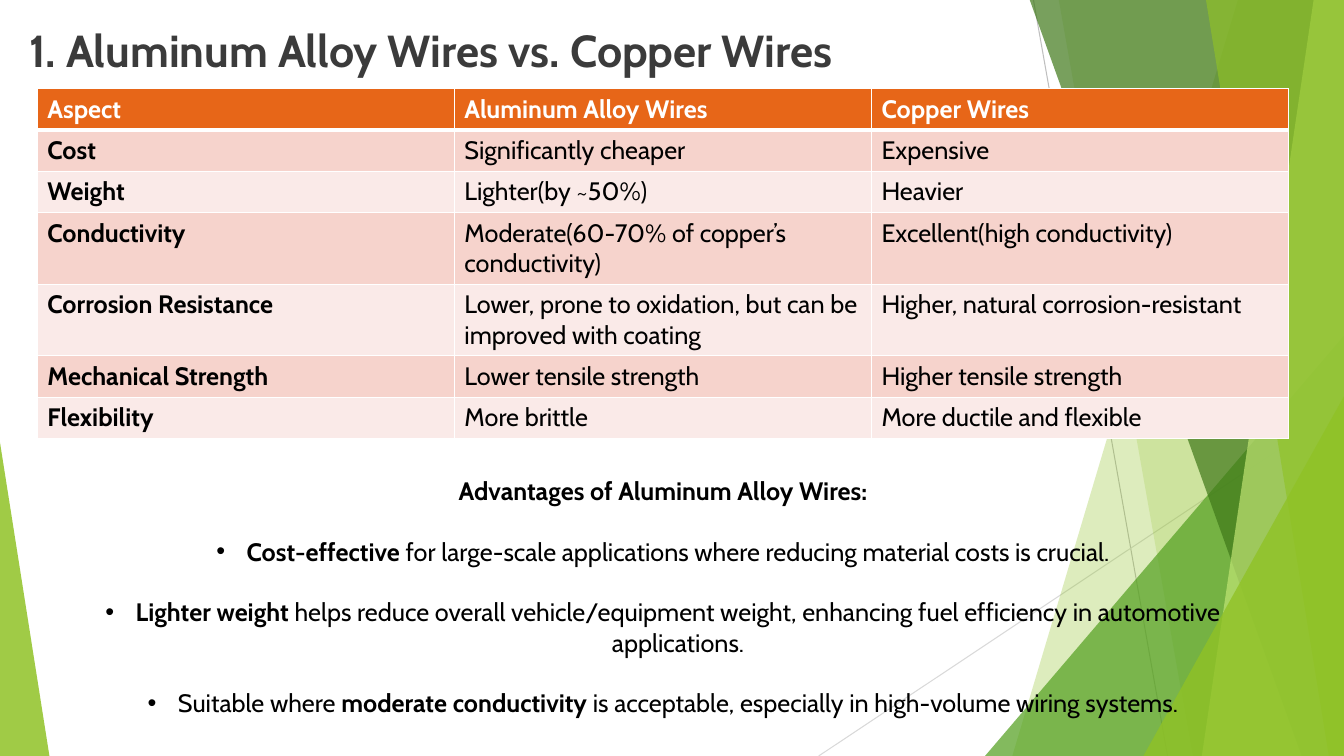
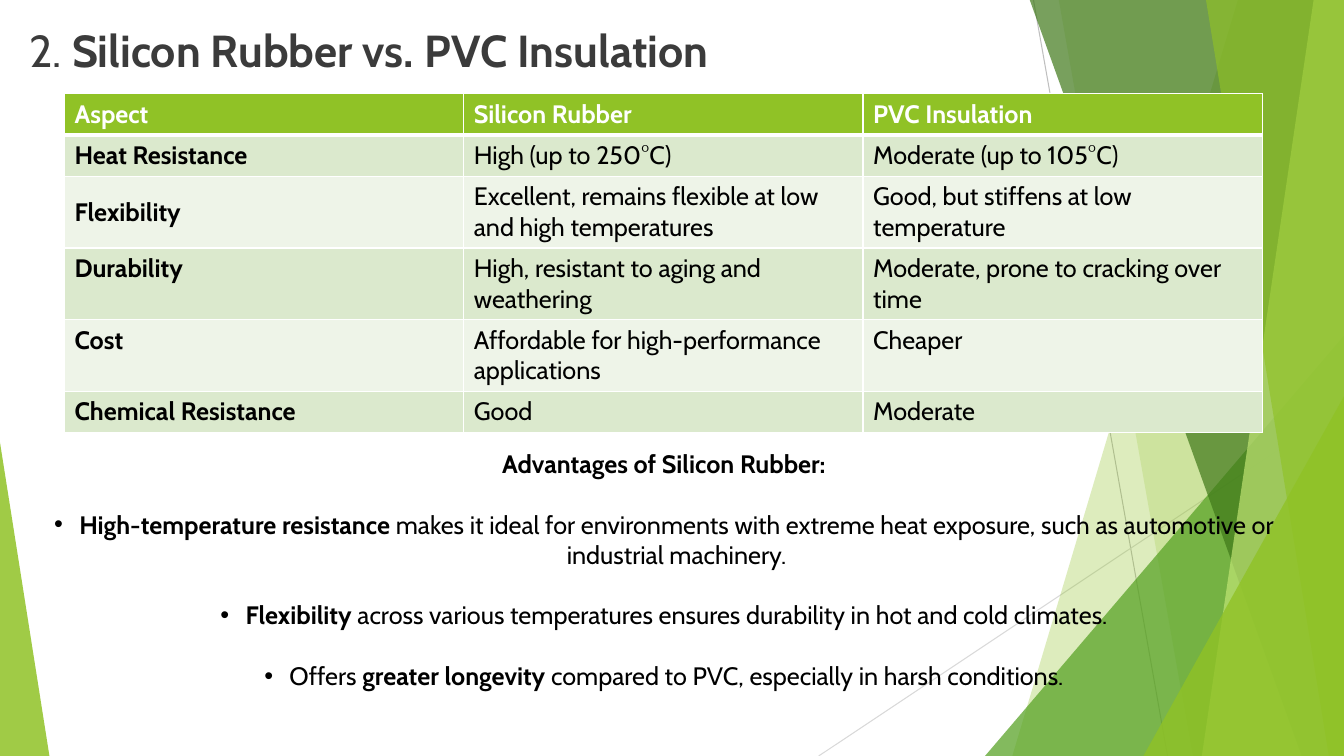
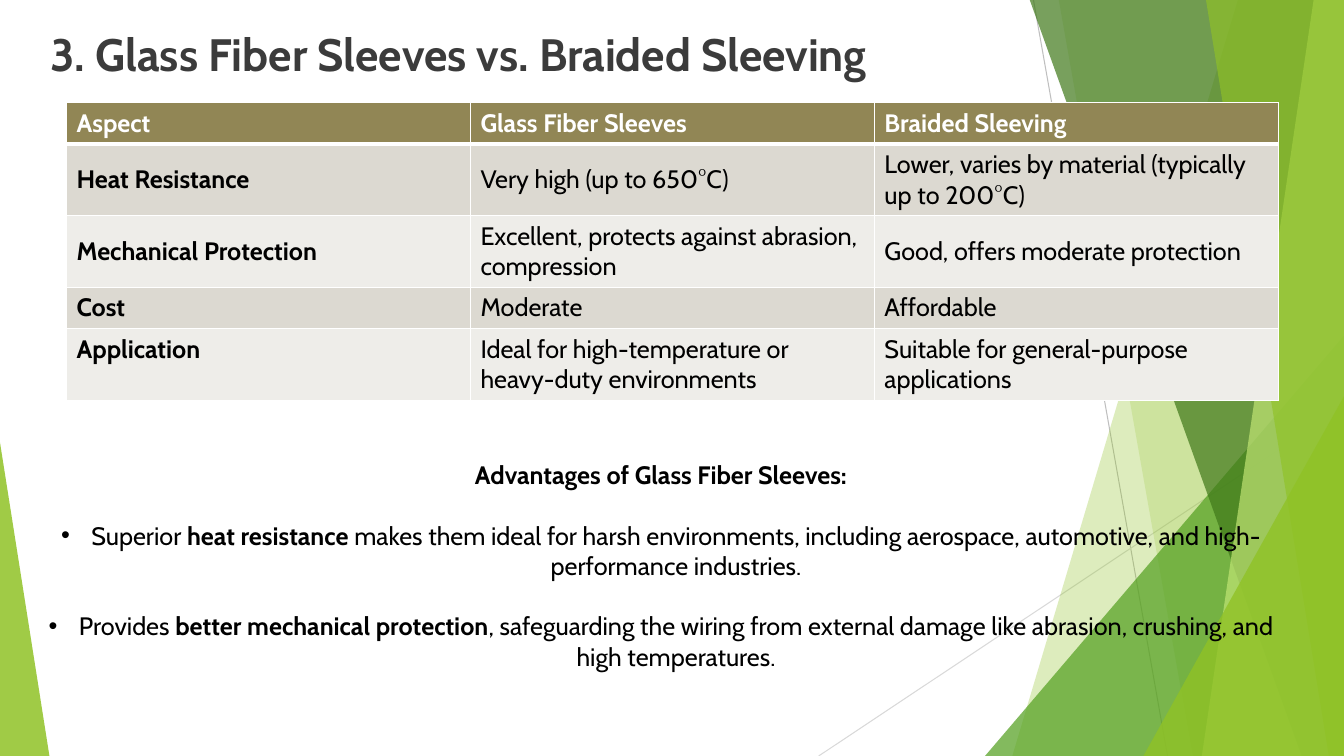
from lxml.etree import SubElement
from pptx import Presentation
from pptx.dml.color import RGBColor
from pptx.enum.shapes import MSO_CONNECTOR, MSO_SHAPE
from pptx.enum.text import MSO_ANCHOR, MSO_AUTO_SIZE, PP_ALIGN
from pptx.oxml.ns import qn
from pptx.util import Inches, Pt

# Shared look
FONT = "Cabin"
BLACK = RGBColor(0x00, 0x00, 0x00)
WHITE = RGBColor(0xFF, 0xFF, 0xFF)
TITLE_GREY = RGBColor(0x3B, 0x3B, 0x3B)
LIME = RGBColor(0x90, 0xC2, 0x26)
LEAF = RGBColor(0x54, 0xA0, 0x21)
FOREST = RGBColor(0x3F, 0x78, 0x19)
PALE_LIME = RGBColor(0xC0, 0xE4, 0x74)
ORANGE = RGBColor(0xE7, 0x66, 0x18)
ROSE = RGBColor(0xF6, 0xD3, 0xCC)
PALE_ROSE = RGBColor(0xFA, 0xEA, 0xE8)
SAGE = RGBColor(0xDB, 0xE9, 0xCD)
PALE_SAGE = RGBColor(0xEE, 0xF4, 0xE8)
OLIVE = RGBColor(0x91, 0x86, 0x55)
SAND = RGBColor(0xDC, 0xD9, 0xD1)
PALE_SAND = RGBColor(0xEE, 0xED, 0xE9)
BODY_SIZE = 18
LINE_HEIGHT = 0.41
TWO_LINE_HEIGHT = 0.71
ONE_LINE_CHARS = 35
PARAGRAPH_GAP = Pt(21.6)

# Background: thin lines, then facets from back to front
RAYS = [
    ((10.25, 0), (11.58, 7.5), RGBColor(0xBF, 0xBF, 0xBF)),
    ((13.33, 4.03), (8.12, 7.5), RGBColor(0xD9, 0xD9, 0xD9)),
]
RIGHT, TOP, BOTTOM = 13.33, -0.01, 7.5
# Bands hold (top x, bottom x); triangles hold (left, top, width, apex)
FACETS = [
    ("band", (12.28, 10.04), LIME, 30),
    ("band", (10.5, 11.83), LIME, 20),
    ("triangle", (9.77, 3.33, 3.56, 1), LEAF, 72),
    ("band", (10.21, 12.91), FOREST, 70),
    ("band", (13.03, 11.92), PALE_LIME, 70),
    ("band", (11.96, 13.18), LIME, 65),
    ("triangle", (11.34, 3.93, 1.99, 1), LIME, 80),
    ("triangle", (0, 4.39, 0.49, 0), LIME, 85),
]

# Content: ** switches bold on and off; "middle" lists (row, column) cells
COMPARISONS = [
    {
        "title": "**1. Aluminum Alloy Wires vs. Copper Wires**",
        "title_at": (0.19, 0.18, 11.09, 0.67), "title_size": 32,
        "table_at": (0.37, 0.88, 12.41),
        "palette": (ORANGE, ROSE, PALE_ROSE),
        "middle": set(),
        "rows": [
            ("Aspect", "Aluminum Alloy Wires", "Copper Wires"),
            ("Cost", "Significantly cheaper", "Expensive"),
            ("Weight", "Lighter(by ~50%)", "Heavier"),
            ("Conductivity", "Moderate(60-70% of copper’s conductivity)",
             "Excellent(high conductivity)"),
            ("Corrosion Resistance",
             "Lower, prone to oxidation, but can be improved with coating",
             "Higher, natural corrosion-resistant"),
            ("Mechanical Strength", "Lower tensile strength",
             "Higher tensile strength"),
            ("Flexibility", "More brittle", "More ductile and flexible"),
        ],
        "advantages_at": (0.37, 4.67, 12.41, 2.83), "hang": 0.3,
        "heading": "**Advantages of Aluminum Alloy Wires:**",
        "advantages": [
            "**Cost-effective** for large-scale applications where reducing "
            "material costs is crucial.",
            "**Lighter weight** helps reduce overall vehicle/equipment weight, "
            "enhancing fuel efficiency in automotive applications.",
            "Suitable where **moderate conductivity** is acceptable, "
            "especially in high-volume wiring systems.",
        ],
    },
    {
        "title": "2. **Silicon Rubber vs. PVC Insulation**",
        "title_at": (0.19, 0.18, 11.09, 0.67), "title_size": 32,
        "table_at": (0.64, 0.93, 11.88),
        "palette": (LIME, SAGE, PALE_SAGE),
        "middle": {(2, 0)},
        "rows": [
            ("Aspect", "Silicon Rubber", "PVC Insulation"),
            ("Heat Resistance", "High (up to 250°C)", "Moderate (up to 105°C)"),
            ("Flexibility",
             "Excellent, remains flexible at low and high temperatures",
             "Good, but stiffens at low temperature"),
            ("Durability", "High, resistant to aging and weathering",
             "Moderate, prone to cracking over time"),
            ("Cost", "Affordable for high-performance applications", "Cheaper"),
            ("Chemical Resistance", "Good", "Moderate"),
        ],
        "advantages_at": (0.38, 4.4, 12.41, 2.52), "hang": 0.25,
        "heading": "**Advantages of Silicon Rubber:**",
        "advantages": [
            "**High-temperature resistance** makes it ideal for environments "
            "with extreme heat exposure, such as automotive or industrial "
            "machinery.",
            "**Flexibility** across various temperatures ensures durability "
            "in hot and cold climates.",
            "Offers **greater longevity** compared to PVC, especially in "
            "harsh conditions.",
        ],
    },
    {
        "title": "**3. Glass Fiber Sleeves vs. Braided Sleeving**",
        "title_at": (0.4, 0.21, 9.4, 0.63), "title_size": 32.4,
        "table_at": (0.66, 1.02, 12.02),
        "palette": (OLIVE, SAND, PALE_SAND),
        "middle": {(row, column) for row in (1, 2) for column in range(3)},
        "rows": [
            ("Aspect", "Glass Fiber Sleeves", "Braided Sleeving"),
            ("Heat Resistance", "Very high (up to 650°C)",
             "Lower, varies by material (typically up to 200°C)"),
            ("Mechanical Protection",
             "Excellent, protects against abrasion, compression",
             "Good, offers moderate protection"),
            ("Cost", "Moderate", "Affordable"),
            ("Application",
             "Ideal for high-temperature or heavy-duty environments",
             "Suitable for general-purpose applications"),
        ],
        "advantages_at": (0.3, 4.51, 12.51, 2.52), "hang": 0.3,
        "heading": "**Advantages of Glass Fiber Sleeves:**",
        "advantages": [
            "Superior **heat resistance** makes them ideal for harsh "
            "environments, including aerospace, automotive, and "
            "high-performance industries.",
            "Provides **better mechanical protection**, safeguarding the "
            "wiring from external damage like abrasion, crushing, and high "
            "temperatures.",
        ],
    },
]


def inches(values):
    return [Inches(value) for value in values]


def add_runs(paragraph, marked_text, size, color):
    for index, text in enumerate(marked_text.split("**")):
        if text:
            run = paragraph.add_run()
            run.text = text
            run.font.name = FONT
            run.font.size = Pt(size)
            run.font.bold = index % 2 == 1
            run.font.color.rgb = color


def add_facet(shapes, kind, place, color, opacity):
    if kind == "band":
        top_x, bottom_x = place
        outline = shapes.build_freeform(Inches(top_x), Inches(TOP))
        corners = [(RIGHT, TOP), (RIGHT, BOTTOM), (bottom_x, BOTTOM)]
        outline.add_line_segments([inches(corner) for corner in corners])
        facet = outline.convert_to_shape()
    else:
        left, top, width, apex = place
        facet = shapes.add_shape(MSO_SHAPE.ISOSCELES_TRIANGLE,
                                 *inches((left, top, width, BOTTOM - top)))
        facet.adjustments[0] = apex
    facet.shadow.inherit = False
    facet.line.fill.background()
    facet.fill.solid()
    facet.fill.fore_color.rgb = color
    tint = facet._element.spPr.find(".//" + qn("a:srgbClr"))
    SubElement(tint, qn("a:alpha")).set("val", str(opacity * 1000))
    return facet


def add_ray(shapes, start, end, color):
    ray = shapes.add_connector(MSO_CONNECTOR.STRAIGHT,
                               *inches(start), *inches(end))
    ray.line.color.rgb = color
    ray.line.width = Pt(0.75)
    SubElement(ray._element.spPr, qn("a:effectLst"))
    return ray


def move_background_to_layout(slide, layout):
    """Draw the background once and let the layout carry it."""
    parts = [add_ray(slide.shapes, *ray) for ray in RAYS]
    parts += [add_facet(slide.shapes, *facet) for facet in FACETS]
    for index, part in enumerate(parts):
        part._element.find(".//" + qn("p:cNvPr")).set("id", str(100 + index))
        layout.shapes.element.insert(2 + index, part._element)


def format_title(slide, content):
    title = slide.shapes.title
    title.left, title.top, title.width, title.height = inches(content["title_at"])
    frame = title.text_frame
    frame.word_wrap = True
    frame.auto_size = MSO_AUTO_SIZE.NONE
    frame.vertical_anchor = MSO_ANCHOR.TOP
    frame.paragraphs[0].alignment = PP_ALIGN.LEFT
    add_runs(frame.paragraphs[0], content["title"], content["title_size"], TITLE_GREY)


def set_borders(cell, row):
    thick_side = {0: "lnB", 1: "lnT"}.get(row)
    for side in ("lnL", "lnR", "lnT", "lnB"):
        border = SubElement(cell._tc.get_or_add_tcPr(), qn("a:" + side))
        border.set("w", str(Pt(3 if side == thick_side else 1)))
        fill = SubElement(border, qn("a:solidFill"))
        SubElement(fill, qn("a:srgbClr")).set("val", str(WHITE))


def add_comparison(slide, content):
    rows = content["rows"]
    left, top, width = content["table_at"]
    heights = [TWO_LINE_HEIGHT if max(map(len, row)) > ONE_LINE_CHARS
               else LINE_HEIGHT for row in rows]
    table = slide.shapes.add_table(
        len(rows), len(rows[0]), *inches((left, top, width, sum(heights)))).table
    table.horz_banding = False
    header_fill, *band_fills = content["palette"]
    for row, texts in enumerate(rows):
        table.rows[row].height = Inches(heights[row])
        for column, text in enumerate(texts):
            cell = table.cell(row, column)
            set_borders(cell, row)
            cell.fill.solid()
            cell.fill.fore_color.rgb = band_fills[(row - 1) % 2] if row else header_fill
            cell.vertical_anchor = (MSO_ANCHOR.MIDDLE if (row, column) in content["middle"]
                                    else MSO_ANCHOR.TOP)
            bold = row == 0 or column == 0
            add_runs(cell.text_frame.paragraphs[0], f"**{text}**" if bold else text,
                     BODY_SIZE, BLACK if row else WHITE)


def add_advantages(slide, content):
    frame = slide.shapes.add_textbox(*inches(content["advantages_at"])).text_frame
    frame.word_wrap = True
    heading = frame.paragraphs[0]
    heading.alignment = PP_ALIGN.CENTER
    add_runs(heading, content["heading"], BODY_SIZE, BLACK)
    hang = Inches(content["hang"])
    for advantage in content["advantages"]:
        paragraph = frame.add_paragraph()
        properties = paragraph._p.get_or_add_pPr()
        properties.set("marL", str(hang))
        properties.set("indent", str(-hang))
        SubElement(properties, qn("a:buFont")).set("typeface", "Arial")
        SubElement(properties, qn("a:buChar")).set("char", "•")
        paragraph.alignment = PP_ALIGN.CENTER
        paragraph.space_before = PARAGRAPH_GAP
        add_runs(paragraph, advantage, BODY_SIZE, BLACK)


def main():
    deck = Presentation()
    deck.slide_width, deck.slide_height = inches((13.33, 7.5))
    title_only = deck.slide_layouts[5]
    for number, content in enumerate(COMPARISONS):
        slide = deck.slides.add_slide(title_only)
        if number == 0:
            move_background_to_layout(slide, title_only)
        format_title(slide, content)
        add_comparison(slide, content)
        add_advantages(slide, content)
    deck.save("out.pptx")


if __name__ == "__main__":
    main()
